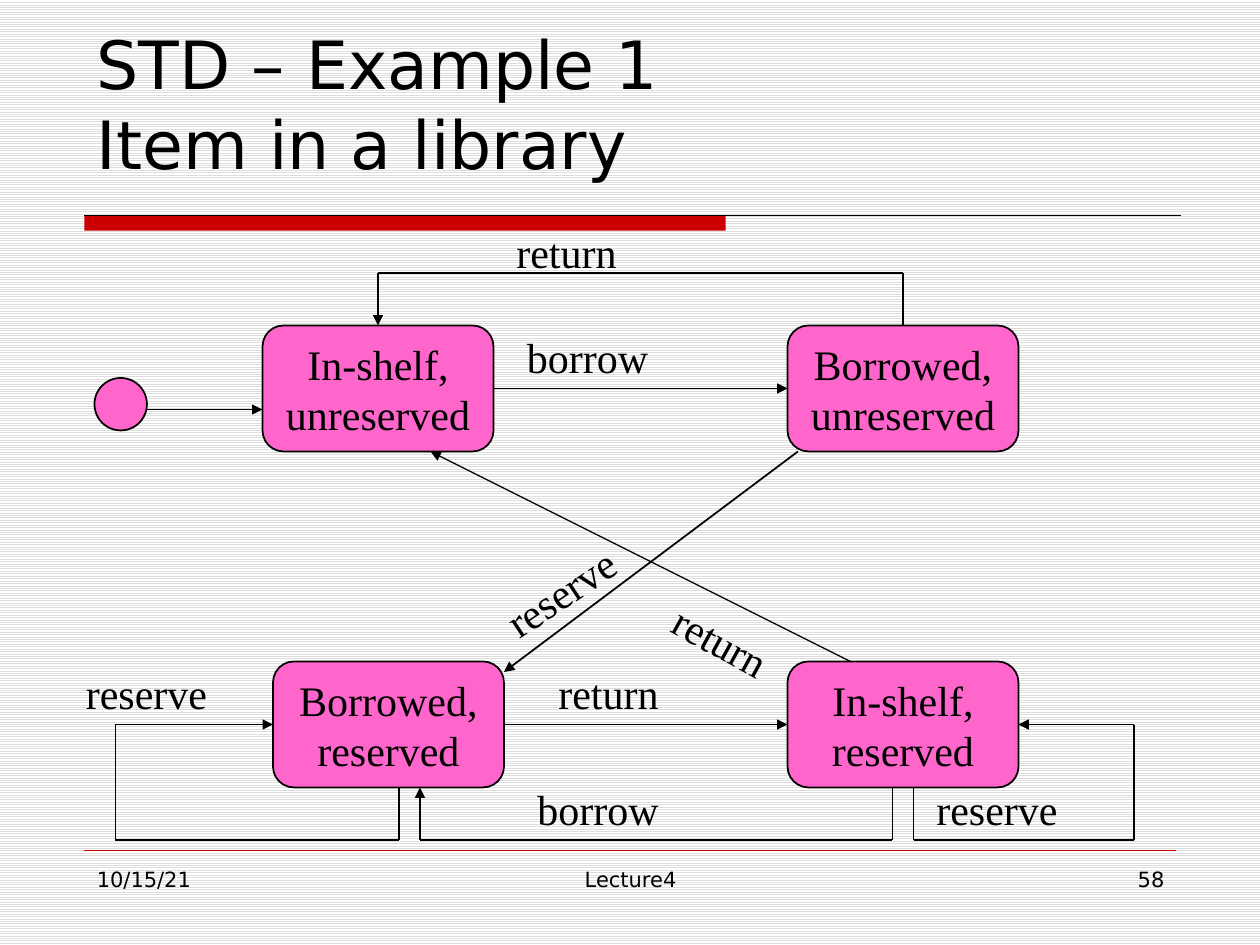
from itertools import pairwise

from lxml.etree import SubElement
from pptx import Presentation
from pptx.dml.color import RGBColor
from pptx.enum.dml import MSO_PATTERN
from pptx.enum.shapes import MSO_CONNECTOR, MSO_SHAPE
from pptx.enum.text import MSO_ANCHOR, PP_ALIGN
from pptx.oxml.ns import qn
from pptx.util import Inches, Pt

COLORS = {"ink": "000000", "state": "FF66CC", "accent": "CC0000",
          "stripe": "DDDDDD", "paper": "FFFFFF"}
SANS = {"name": "DejaVu Sans", "size": Pt(38)}
SMALL = {"name": "DejaVu Sans", "size": Pt(12)}
SERIF = {"name": "Times New Roman", "size": Pt(24)}
GRID = 12  # diagram units per inch

# Diagram places are in grid units from the corner of the diagram box.
STATES = [
    ("In-shelf,\nunreserved", 18, 10),
    ("Borrowed,\nunreserved", 68, 10),
    ("Borrowed,\nreserved", 19, 42),
    ("In-shelf,\nreserved", 68, 42),
]
ROUTES = [
    (1, [(7, 18), (18, 18)]),
    (1, [(40, 16), (68, 16)]),
    (1, [(69, 22), (41, 43)]),
    (1, [(79, 10), (79, 5), (29, 5), (29, 10)]),
    (1, [(41, 48), (68, 48)]),
    (1, [(31, 54), (31, 59), (4, 59), (4, 48), (19, 48)]),
    (1, [(80, 54), (80, 59), (101, 59), (101, 48), (90, 48)]),
    (1, [(78, 54), (78, 59), (33, 59), (33, 54)]),
    (0.75, [(74, 42), (34, 22)]),
]
LABELS = [
    ("return", 41, 0, 22, 0),
    ("borrow", 42, 10, 22, 0),
    ("reserve", 39, 31, 19, -33.7),
    ("reserve", 0, 42, 18, 0),
    ("return", 45, 42, 20, 0),
    ("reserve", 81, 53, 21, 0),
    ("borrow", 43, 53, 27, 0),
    ("return", 55.5, 37.8, 15, 29),
]


def rgb(name):
    return RGBColor.from_string(COLORS[name])


def write(frame, text, font, align=PP_ALIGN.LEFT, anchor=MSO_ANCHOR.TOP, wrap=True):
    frame.text = text
    frame.word_wrap = wrap
    frame.vertical_anchor = anchor
    for para in frame.paragraphs:
        para.alignment = align
        for run in para.runs:
            for key, value in font.items():
                setattr(run.font, key, value)
            run.font.color.rgb = rgb("ink")


def add_text(slide, box, text, font, turn=0, **style):
    shape = slide.shapes.add_textbox(*map(Inches, box))
    shape.rotation = turn
    write(shape.text_frame, text, font, **style)


def add_block(slide, kind, box, fill, line=None):
    shape = slide.shapes.add_shape(kind, *map(Inches, box))
    shape.shadow.inherit = False
    shape.fill.solid()
    shape.fill.fore_color.rgb = rgb(fill)
    if line:
        shape.line.color.rgb = rgb(line)
        shape.line.width = Pt(1)
    else:
        shape.line.fill.background()
    return shape


def add_line(slide, start, end, color="ink", width=1, arrow=False):
    line = slide.shapes.add_connector(
        MSO_CONNECTOR.STRAIGHT, *map(Inches, (*start, *end)))
    line.line.color.rgb = rgb(color)
    line.line.width = Pt(width)
    if arrow:
        SubElement(line.line._get_or_add_ln(), qn("a:tailEnd"), type="triangle")
    SubElement(line._element.spPr, qn("a:effectLst"))


def add_header(slide, box):
    left, top, width, height = box
    add_text(slide, (left, top, width - 0.2, 1.25),
             "STD – Example 1\vItem in a library", SANS, anchor=MSO_ANCHOR.BOTTOM)
    rule = top + height - 0.12
    add_block(slide, MSO_SHAPE.RECTANGLE, (left, rule, 5.09, 0.12), "accent")
    add_line(slide, (left, rule), (left + width, rule), width=0.75)


def add_footer(slide, box):
    left, top, width, height = box
    add_line(slide, (left, top), (left + width, top), "accent", 0.25)
    parts = [("10/15/21", 0, 2.17, PP_ALIGN.LEFT),
             ("Lecture4", 2.75, 3.17, PP_ALIGN.CENTER),
             ("58", 6.5, 2.17, PP_ALIGN.RIGHT)]
    for text, shift, wide, align in parts:
        add_text(slide, (left + shift, top + 0.08, wide, height - 0.08),
                 text, SMALL, align=align)


def add_diagram(slide, left, top):
    def place(x, y):
        return left + x / GRID, top + y / GRID

    for text, x, y in STATES:
        state = add_block(slide, MSO_SHAPE.ROUNDED_RECTANGLE,
                          (*place(x, y), 22 / GRID, 1), "state", "ink")
        write(state.text_frame, text, SERIF, PP_ALIGN.CENTER,
              MSO_ANCHOR.MIDDLE, wrap=False)
    add_block(slide, MSO_SHAPE.OVAL,
              (*place(2, 15), 5 / GRID, 5 / GRID), "state", "ink")

    for width, points in ROUTES:
        for start, end in pairwise(points):
            add_line(slide, place(*start), place(*end), width=width,
                     arrow=end == points[-1])
    for text, x, y, width, turn in LABELS:
        add_text(slide, (*place(x, y), width / GRID, 0.5), text, SERIF, turn)


def main():
    deck = Presentation()
    deck.slide_width, deck.slide_height = Inches(10), Inches(7.5)
    slide = deck.slides.add_slide(deck.slide_layouts[6])
    back = slide.background.fill
    back.patterned()
    back.pattern = MSO_PATTERN.LIGHT_HORIZONTAL
    back.fore_color.rgb = rgb("stripe")
    back.back_color.rgb = rgb("paper")

    add_header(slide, (0.67, 0.25, 8.7, 1.58))
    add_footer(slide, (0.67, 6.75, 8.66, 0.6))
    add_diagram(slide, 7 / GRID, 1.75)
    deck.save("out.pptx")


if __name__ == "__main__":
    main()
